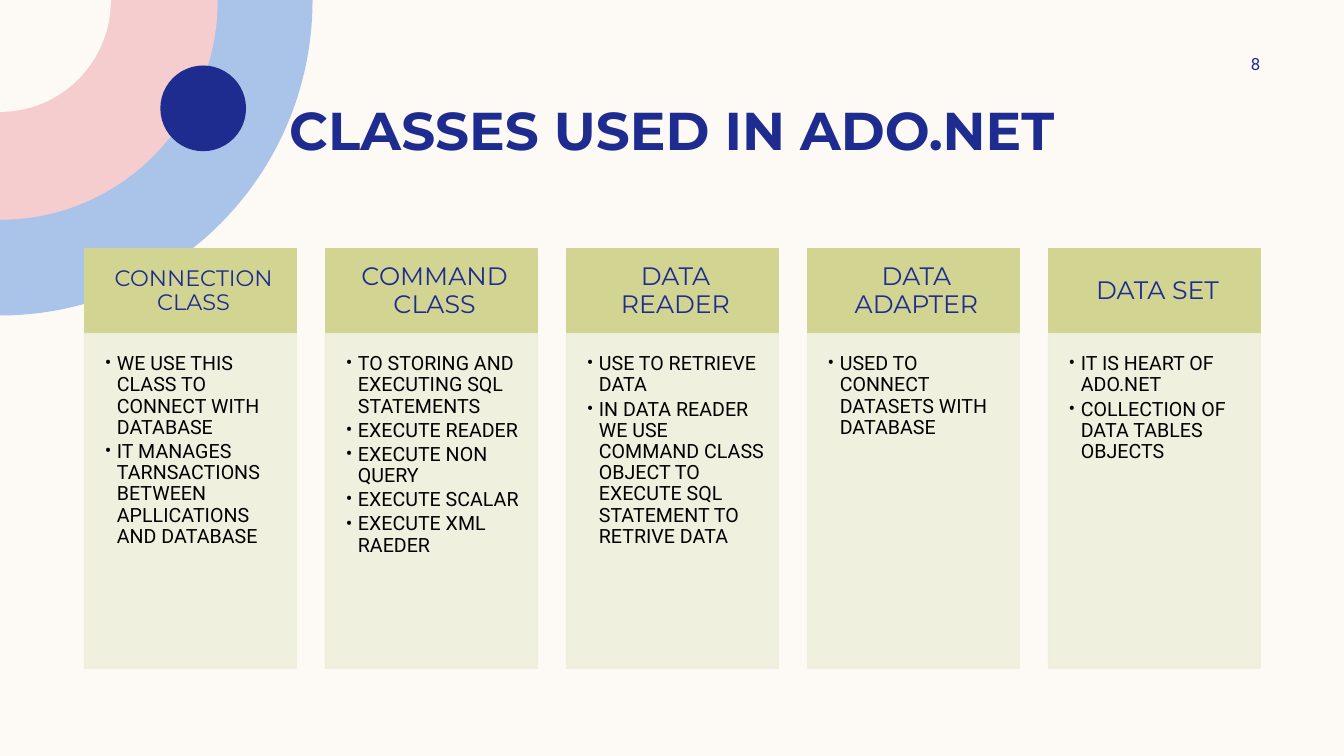
import pptx
import pptx.dml.color
import pptx.enum.shapes
import pptx.enum.text
import pptx.oxml.ns
import pptx.util
from lxml import etree
from pptx.util import Inches

NAVY, CREAM, OLIVE, PALE = "1F2C8F", "FDFAF6", "D2D592", "EEEFDC"
BLUE, PINK, BLACK = "AAC3E8", "F5CDCE", "000000"
HEAD, BODY = "Montserrat", "Roboto"
ALIGN = pptx.enum.text.PP_ALIGN
ANCHOR = pptx.enum.text.MSO_ANCHOR
SHAPE = pptx.enum.shapes.MSO_SHAPE
CURVE = 0.5523
CARDS = [
    ("CONNECTION CLASS", 16, [
        "WE USE THIS CLASS TO CONNECT WITH DATABASE",
        "IT MANAGES TARNSACTIONS BETWEEN APLLICATIONS AND DATABASE"]),
    ("COMMAND CLASS", 18, [
        "TO STORING AND EXECUTING SQL STATEMENTS",
        "EXECUTE READER",
        "EXECUTE NON QUERY",
        "EXECUTE SCALAR",
        "EXECUTE XML RAEDER"]),
    ("DATA READER", 18, [
        "USE TO RETRIEVE DATA",
        "IN DATA READER WE USE COMMAND CLASS OBJECT TO EXECUTE SQL STATEMENT TO RETRIVE DATA"]),
    ("DATA ADAPTER", 18, ["USED TO CONNECT DATASETS WITH DATABASE"]),
    ("DATA SET", 18, [
        "IT IS HEART OF ADO.NET",
        "COLLECTION OF DATA TABLES OBJECTS"]),
]


def tint(color):
    """Turn a hex string into a colour."""
    return pptx.dml.color.RGBColor.from_string(color)


def add(parent, tag, **values):
    """Append a drawing element to an XML parent."""
    return etree.SubElement(parent, pptx.oxml.ns.qn(tag), **values)


def paint(shape, color, line=False, alpha=None):
    """Give a shape a flat fill, with an optional edge and opacity."""
    shape.shadow.inherit = False
    shape.fill.solid()
    shape.fill.fore_color.rgb = tint(color)
    if line:
        shape.line.color.rgb = tint(color)
        shape.line.width = pptx.util.Pt(1)
    else:
        shape.line.fill.background()
    if alpha:
        for node in shape.element.spPr.iter(pptx.oxml.ns.qn("a:srgbClr")):
            add(node, "a:alpha", val=str(alpha * 1000))


def style(para, font, size, color, align, bold=False):
    """Set the font and alignment of a paragraph."""
    para.alignment = align
    para.font.name = font
    para.font.size = pptx.util.Pt(size)
    para.font.color.rgb = tint(color)
    para.font.bold = bold


def frame(shape, anchor, insets):
    """Set wrapping, anchor and insets, and return the text frame."""
    text = shape.text_frame
    text.word_wrap = True
    text.auto_size = pptx.enum.text.MSO_AUTO_SIZE.NONE
    text.vertical_anchor = anchor
    (text.margin_left, text.margin_top,
     text.margin_right, text.margin_bottom) = map(Inches, insets)
    return text


def bullet(para):
    """Give a paragraph a hanging bullet."""
    props = para._p.get_or_add_pPr()
    props.set("marL", str(Inches(0.12)))
    props.set("indent", str(-Inches(0.12)))
    add(props, "a:buFont", typeface=BODY)
    add(props, "a:buChar", char="•")


def ring(slide, wide, high, color):
    """Draw a quarter disc in the top left corner."""
    form = slide.shapes.build_freeform(0, 0)
    form.add_line_segments([(Inches(wide), 0), (0, Inches(high))])
    shape = form.convert_to_shape()
    side = list(shape.element.spPr.iter(pptx.oxml.ns.qn("a:lnTo")))[1]
    arc = etree.Element(pptx.oxml.ns.qn("a:cubicBezTo"))
    for x, y in ((wide, high * CURVE), (wide * CURVE, high), (0, high)):
        add(arc, "a:pt", x=str(Inches(x)), y=str(Inches(y)))
    side.getparent().replace(side, arc)
    paint(shape, color)


def block(slide, left, top, high, color, alpha=None):
    """Draw one rectangle of a card."""
    shape = slide.shapes.add_shape(
        SHAPE.RECTANGLE, Inches(left), Inches(top), Inches(2.1), Inches(high))
    paint(shape, color, True, alpha)
    return shape


def card(slide, left, name, size, points):
    """Draw a heading above a panel of bullets."""
    head = block(slide, left, 2.47, 0.84, OLIVE)
    text = frame(head, ANCHOR.MIDDLE, (0.2, 0.08, 0.14, 0.08))
    text.text = name
    style(text.paragraphs[0], HEAD, size, NAVY, ALIGN.CENTER)
    text.paragraphs[0].line_spacing = 0.9
    panel = block(slide, left, 3.31, 3.32, PALE, 90)
    text = frame(panel, ANCHOR.TOP, (0.2, 0.2, 0.11, 0.12))
    text.text = "\n".join(points)
    for para in text.paragraphs:
        style(para, BODY, 14, BLACK, ALIGN.LEFT)
        para.level = 1
        para.line_spacing = 0.9
        para.space_after = pptx.util.Pt(2.1)
        bullet(para)


def main():
    """Build and save the slide."""
    deck = pptx.Presentation()
    deck.slide_width, deck.slide_height = Inches(13.33), Inches(7.5)
    slide = deck.slides.add_slide(deck.slide_layouts[5])
    slide.background.fill.solid()
    slide.background.fill.fore_color.rgb = tint(CREAM)

    for wide, high, color in ((3.1, 3.13, BLUE), (2.16, 2.18, PINK), (1.1, 1.11, CREAM)):
        ring(slide, wide, high, color)
    dot = slide.shapes.add_shape(
        SHAPE.OVAL, Inches(1.59), Inches(0.65), Inches(0.85), Inches(0.85))
    paint(dot, NAVY)

    title = slide.shapes.title
    title.element.getparent().append(title.element)
    title.left, title.top = Inches(0.83), Inches(0.8)
    title.width, title.height = Inches(11.67), Inches(0.85)
    text = frame(title, ANCHOR.BOTTOM, (0.1, 0.05, 0.1, 0.05))
    text.text = "CLASSES USED IN ADO.NET"
    style(text.paragraphs[0], HEAD, 38, NAVY, ALIGN.CENTER, True)

    page = slide.shapes.add_textbox(
        Inches(11.42), Inches(0.5), Inches(1.08), Inches(0.27))
    text = frame(page, ANCHOR.MIDDLE, (0.1, 0.05, 0, 0.05))
    text.text = "8"
    style(text.paragraphs[0], BODY, 12, NAVY, ALIGN.RIGHT)

    for i, (name, size, points) in enumerate(CARDS):
        card(slide, 0.84 + 2.39 * i, name, size, points)
    deck.save("out.pptx")


if __name__ == "__main__":
    main()
